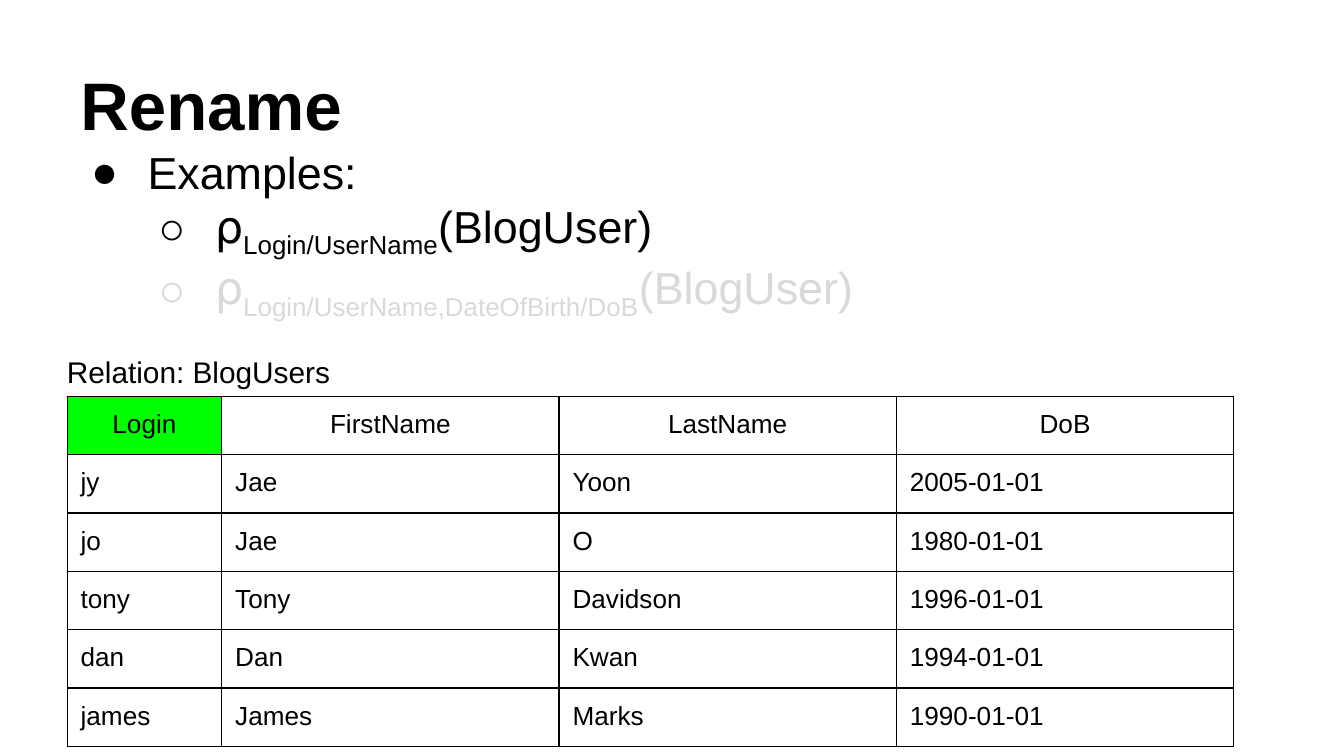
import pptx
import pptx.dml.color
import pptx.enum.text
import pptx.oxml
import pptx.oxml.ns
import pptx.util

Inches = pptx.util.Inches
Pt = pptx.util.Pt
ANCHOR = pptx.enum.text.MSO_ANCHOR
ALIGN = pptx.enum.text.PP_ALIGN

COLORS = {"ink": "000000", "faded": "D9D9D9", "key": "00FF00"}
FRAME_FORMAT = {
    "word_wrap": True,
    "margin_left": Inches(0.1),
    "margin_right": Inches(0.1),
    "margin_top": Inches(0.1),
    "margin_bottom": Inches(0.1),
}
CELL_FORMAT = {name: value for name, value in FRAME_FORMAT.items() if name != "word_wrap"}


def apply_format(target, values):
    for name, value in values.items():
        setattr(target, name, value)


def add_element(parent, xml):
    namespace = pptx.oxml.ns.nsdecls("a")
    parent.append(pptx.oxml.parse_xml(xml.replace(" ", f" {namespace} ", 1)))


class RelationSlide:
    font = "Arial"
    border = Pt(0.75)

    def __init__(self, deck):
        self.slide = deck.slides.add_slide(deck.slide_layouts[6])

    def color(self, name):
        return pptx.dml.color.RGBColor.from_string(COLORS[name])

    def run(self, paragraph, text, size, color="ink", bold=False, subscript=False):
        run = paragraph.add_run()
        run.text = text
        apply_format(run.font, {"name": self.font, "size": Pt(size), "bold": bold})
        run.font.color.rgb = self.color(color)
        if subscript:
            run._r.get_or_add_rPr().set("baseline", "-25000")

    def text_frame(self, left, top, width, height, anchor=ANCHOR.TOP):
        box = self.slide.shapes.add_textbox(
            Inches(left), Inches(top), Inches(width), Inches(height))
        apply_format(box.text_frame, {**FRAME_FORMAT, "vertical_anchor": anchor})
        return box.text_frame

    def label(self, text, place, size, bold=False, anchor=ANCHOR.TOP):
        frame = self.text_frame(*place, anchor=anchor)
        self.run(frame.paragraphs[0], text, size, bold=bold)

    def bullet(self, paragraph, level, mark, color):
        paragraph.level = level
        properties = paragraph._p.get_or_add_pPr()
        properties.set("marL", str(Inches(0.5 * (level + 1))))
        properties.set("indent", str(Inches(-0.42)))
        add_element(properties, f'<a:buClr ><a:srgbClr val="{COLORS[color]}"/></a:buClr>')
        add_element(properties, f'<a:buFont typeface="{self.font}"/>')
        add_element(properties, f'<a:buChar char="{mark}"/>')

    def examples(self, heading, renames, place, size):
        frame = self.text_frame(*place)
        first = frame.paragraphs[0]
        first.space_before = Pt(6)
        self.bullet(first, 0, "●", "ink")
        self.run(first, heading, size)
        for mapping, color in renames:
            line = frame.add_paragraph()
            self.bullet(line, 1, "○", color)
            self.run(line, "⍴", size, color)
            self.run(line, mapping, size, color, subscript=True)
            self.run(line, "(BlogUser)", size, color)

    def borders(self, cell):
        properties = cell._tc.get_or_add_tcPr()
        for side in "LRTB":
            add_element(properties, f'<a:ln{side} w="{self.border}"><a:solidFill>'
                        f'<a:srgbClr val="{COLORS["ink"]}"/></a:solidFill></a:ln{side}>')

    def table(self, rows, left, top, widths, heights, size):
        table = self.slide.shapes.add_table(
            len(rows), len(widths), Inches(left), Inches(top),
            Inches(sum(widths)), Inches(sum(heights))).table
        apply_format(table, {"first_row": False, "horz_banding": False})
        for column, width in zip(table.columns, widths):
            column.width = Inches(width)
        for r, (values, height) in enumerate(zip(rows, heights)):
            table.rows[r].height = Inches(height)
            for c, value in enumerate(values):
                cell = table.cell(r, c)
                apply_format(cell, CELL_FORMAT)
                self.borders(cell)
                cell.fill.background()
                paragraph = cell.text_frame.paragraphs[0]
                paragraph.alignment = ALIGN.LEFT if r else ALIGN.CENTER
                self.run(paragraph, value, size)
        # The renamed attribute stands out
        renamed = table.cell(0, 0).fill
        renamed.solid()
        renamed.fore_color.rgb = self.color("key")


def main():
    deck = pptx.Presentation()
    # Widescreen, 16:9
    apply_format(deck, {"slide_width": Inches(10), "slide_height": Inches(10 * 9 / 16)})
    rename = RelationSlide(deck)

    # Title and examples
    rename.label("Rename", (0.5, 0.23, 9, 0.94), 36, bold=True, anchor=ANCHOR.BOTTOM)
    rename.examples("Examples:", [
        ("Login/UserName", "ink"),
        ("Login/UserName,DateOfBirth/DoB", "faded"),
    ], (0.5, 0.98, 9.13, 4.07), 24)

    # Resulting relation
    blog_users = [
        ("Login", "FirstName", "LastName", "DoB"),
        ("jy", "Jae", "Yoon", "2005-01-01"),
        ("jo", "Jae", "O", "1980-01-01"),
        ("tony", "Tony", "Davidson", "1996-01-01"),
        ("dan", "Dan", "Kwan", "1994-01-01"),
        ("james", "James", "Marks", "1990-01-01"),
    ]
    rename.table(blog_users, 0.5, 2.95, [1.15] + [2.51] * 3,
                 [0.42] * 3 + [0.43] * 3, 14)
    rename.label("Relation: BlogUsers", (0.4, 2.53, 2.6, 0.61), 16)

    deck.save("out.pptx")


if __name__ == "__main__":
    main()
